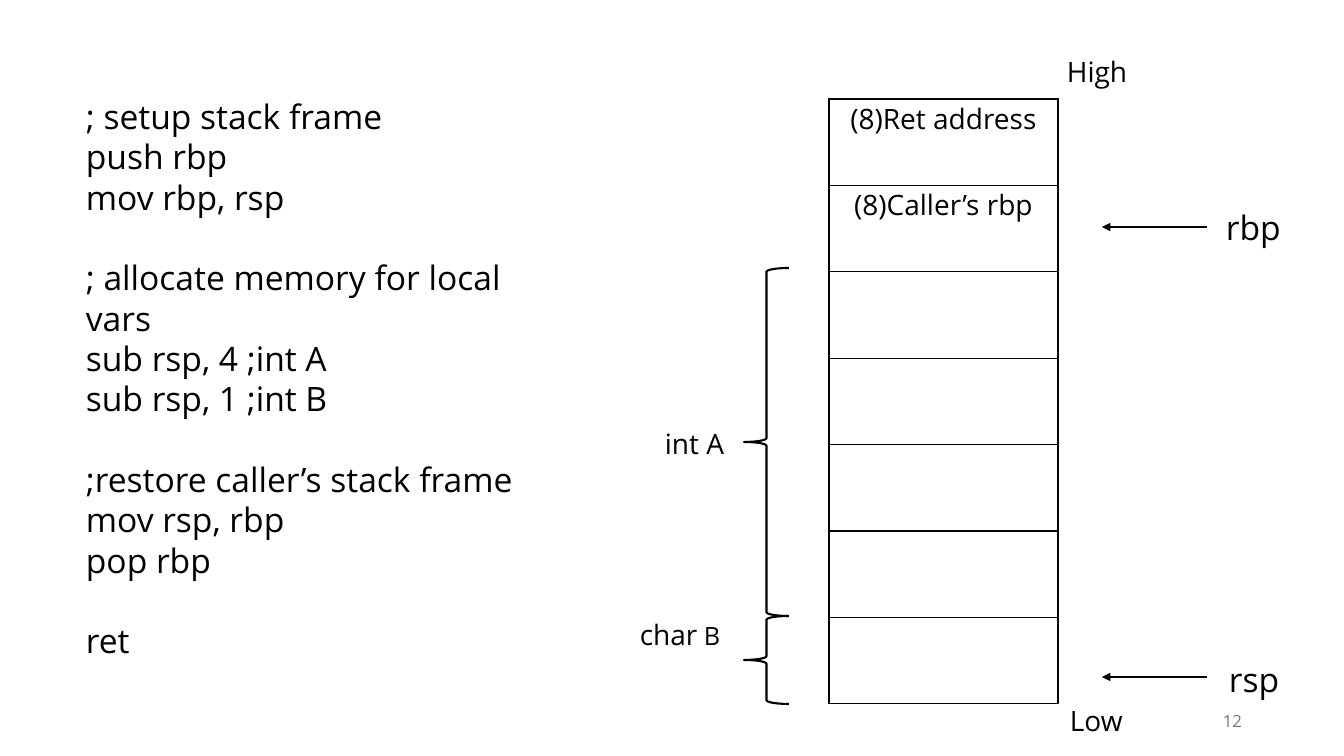
from lxml import etree
from pptx import Presentation
from pptx.dml.color import RGBColor
from pptx.enum.shapes import MSO_CONNECTOR as CONN, MSO_SHAPE as SHAPE
from pptx.enum.text import MSO_ANCHOR as ANCHOR, PP_ALIGN as ALIGN
from pptx.oxml.ns import qn
from pptx.util import Pt

PX = 914400 / 100.8
FONT, BLACK, GREY = "Open Sans", "000000", "797979"


def box(*lengths):
    """Turn px lengths into EMU."""
    return [round(n * PX) for n in lengths]


def style(p, size, color=BLACK, align=ALIGN.LEFT):
    p.font.name, p.font.size = FONT, Pt(size)
    p.font.color.rgb = RGBColor.from_string(color)
    p.alignment = align
    p.line_spacing = Pt(size * 1.2)


prs = Presentation()
prs.slide_width, prs.slide_height = box(1344, 756)
s = prs.slides.add_slide(prs.slide_layouts[6])

# Stack cells, from high to low addresses
stack = s.shapes.add_table(7, 1, *box(829, 99, 229, 605)).table
stack.first_row = stack.horz_banding = False
contents = ["(8)Ret address", "(8)Caller’s rbp"]
for i, row in enumerate(stack.rows):
    cell = row.cells[0]
    p = cell.text_frame.paragraphs[0]
    p.text = contents[i] if i < len(contents) else ""
    style(p, 20, align=ALIGN.CENTER)
    tc_pr = cell._tc.get_or_add_tcPr()
    for side in ("a:lnL", "a:lnR", "a:lnT", "a:lnB"):
        ln = etree.SubElement(tc_pr, qn(side), w=str(Pt(0.96)))
        fill = etree.SubElement(ln, qn("a:solidFill"))
        etree.SubElement(fill, qn("a:srgbClr"), val=BLACK)
    cell.fill.background()

# Braces around the local variables
for top, height in [(268, 348), (616, 88)]:
    brace = s.shapes.add_shape(SHAPE.LEFT_BRACE, *box(744, top, 45, height))
    brace.shadow.inherit = False
    brace.fill.background()
    brace.line.color.rgb = RGBColor.from_string(BLACK)
    brace.line.width = Pt(1.5)

# Register pointers
for y in (227, 677):
    arrow = s.shapes.add_connector(CONN.STRAIGHT, *box(1207, y, 1102, y))
    arrow.line.color.rgb = RGBColor.from_string(BLACK)
    arrow.line.width = Pt(0)
    etree.SubElement(arrow.line._get_or_add_ln(), qn("a:tailEnd"), type="triangle")
    etree.SubElement(arrow._element.spPr, qn("a:effectLst"))

labels = [
    ("rbp", 24, 1216, 202, 77, 50),
    ("rsp", 24, 1219, 654, 73, 50),
    ("int A", 20, 655, 422, 85, 43),
    ("char B", 20, 630, 613, 107, 43),
    ("High", 20, 1057, 50, 85, 43),
    ("Low", 20, 1060, 699, 76, 43),
]
for text, size, *place in labels:
    tf = s.shapes.add_textbox(*box(*place)).text_frame
    tf.word_wrap = False
    p = tf.paragraphs[0]
    style(p, size)
    if text == "char B":
        p.add_run().text = "char"
        r = p.add_run()
        r.text = " B"
        r.font.size = Pt(18)
    else:
        p.text = text

# Assembly listing, one block per step
blocks = [
    ["; setup stack frame", "push rbp", "mov rbp, rsp"],
    ["; allocate memory for local vars", "sub rsp, 4 ;int A", "sub rsp, 1 ;int B"],
    [";restore caller’s stack frame", "mov rsp, rbp", "pop rbp"],
    ["ret"],
]
tf = s.shapes.add_textbox(*box(76, 91, 477, 539)).text_frame
tf.word_wrap = True
p = tf.paragraphs[0]
for b, block in enumerate(blocks):
    for i, line in enumerate(block):
        if b or i:
            p = tf.add_paragraph()
        p.text = line
        style(p, 24)
        if b and i == 0:
            p.space_before = Pt(28.8)

# Slide number
tf = s.shapes.add_textbox(*box(950, 701, 302, 40)).text_frame
tf.word_wrap = True
tf.vertical_anchor = ANCHOR.MIDDLE
p = tf.paragraphs[0]
p.text = "12"
style(p, 12, GREY, ALIGN.RIGHT)

prs.save("out.pptx")
